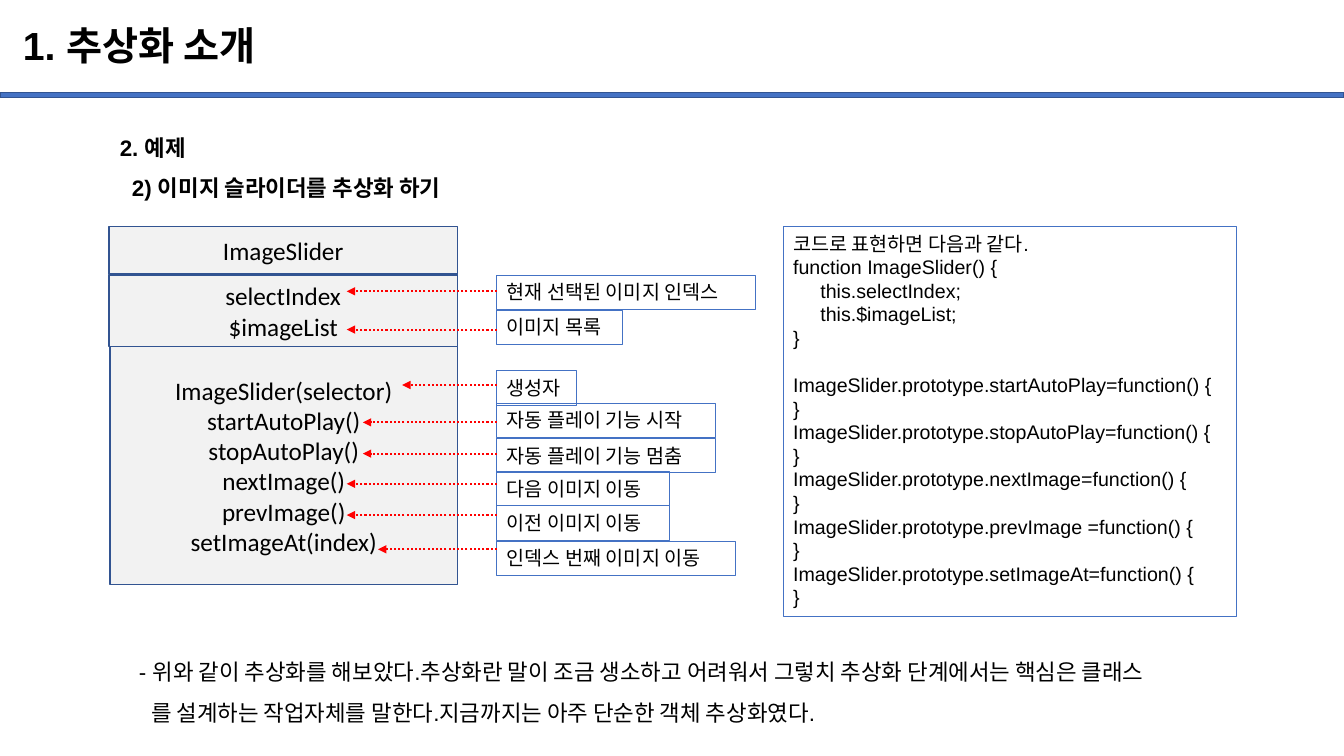
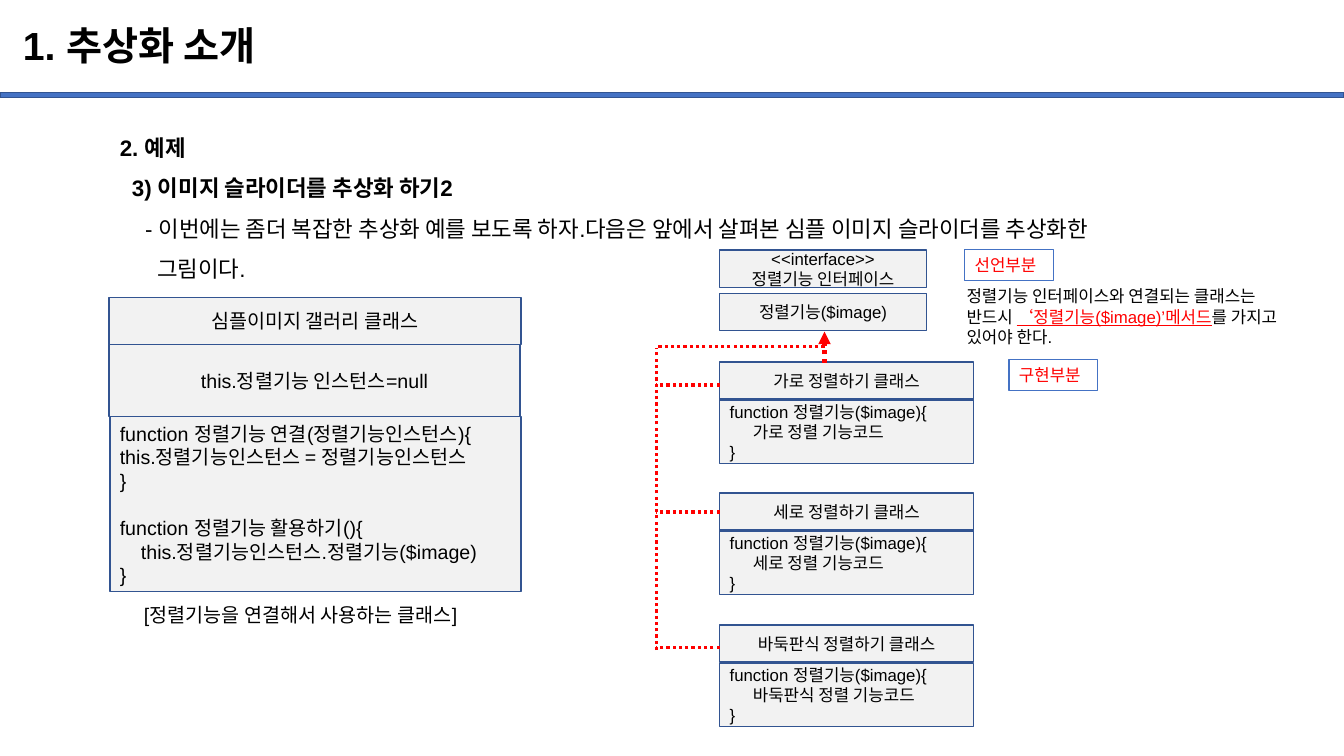
"""Build two lesson slides on abstraction with class diagrams."""
from dataclasses import dataclass

from lxml import etree
from pptx import Presentation
from pptx import util as u
from pptx.dml.color import RGBColor
from pptx.enum import dml, shapes, text
from pptx.oxml.ns import qn


@dataclass(frozen=True)
class Theme:
    ink: str = "000000"
    accent: str = "FF0000"
    blue: str = "4472C4"
    navy: str = "325491"
    panel: str = "F2F2F2"
    sans: str = "Arial"
    diagram: str = "Calibri"
    title: int = 28
    member: int = 18
    body: int = 16
    code: int = 14
    small: int = 12
    blank_line: int = 17


class Deck:
    unit = u.Inches(0.1)
    columns, rows = 133.33, 75

    def __init__(self, theme):
        self.t = theme
        self.prs = Presentation()
        self.prs.slide_width = self.size(self.columns)
        self.prs.slide_height = self.size(self.rows)

    def size(self, cells):
        return u.Emu(round(cells * self.unit))

    def color(self, value):
        return RGBColor.from_string(value)

    def slide(self, title, *headings):
        self.s = self.prs.slides.add_slide(self.prs.slide_layouts[6])
        self.box((0, 9.2, self.columns, 0.5), fill=self.t.blue)
        self.label((1.3, 1, 115, 7.4), [title], self.t.title, bold=True,
                   anchor=text.MSO_ANCHOR.MIDDLE, spacing=0.9)
        self.label((10.9, 11.5, 117.2, 9), headings, self.t.body, bold=True, spacing=1.5)

    def set_text(self, sp, lines, size, font=None, color=None, bold=False, center=False,
                 anchor=text.MSO_ANCHOR.TOP, spacing=None):
        tf = sp.text_frame
        tf.word_wrap = True
        tf.vertical_anchor = anchor
        for i, line in enumerate(lines):
            content, indent, before = (line, 0, 0) if isinstance(line, str) else line
            p = tf.paragraphs[0] if i == 0 else tf.add_paragraph()
            p.alignment = text.PP_ALIGN.CENTER if center else text.PP_ALIGN.LEFT
            p.font.name = font or self.t.sans
            p.font.size = u.Pt(size)
            p.font.bold = bold
            p.font.color.rgb = self.color(color or self.t.ink)
            if spacing:
                p.line_spacing = spacing
            if before:
                p.space_before = u.Pt(before)
            if indent:
                p._p.get_or_add_pPr().set("marL", str(self.size(indent)))
            for n, part in enumerate(content.split("|")):
                r = p.add_run()
                r.text = part
                if n % 2:
                    r.font.underline = True
                    r.font.color.rgb = self.color(self.t.accent)

    def label(self, area, lines, size, **style):
        sp = self.s.shapes.add_textbox(*map(self.size, area))
        self.set_text(sp, lines, size, **style)

    def box(self, area, fill=None, line=None, weight=1):
        sp = self.s.shapes.add_shape(shapes.MSO_SHAPE.RECTANGLE, *map(self.size, area))
        sp.shadow.inherit = False
        if fill:
            sp.fill.solid()
            sp.fill.fore_color.rgb = self.color(fill)
        else:
            sp.fill.background()
        sp.line.color.rgb = self.color(line or self.t.navy)
        sp.line.width = u.Pt(weight)
        return sp

    def panel(self, area, lines, size, **style):
        sp = self.box(area, self.t.panel)
        self.set_text(sp, lines, size, anchor=text.MSO_ANCHOR.MIDDLE, **style)

    def frame(self, area, lines, size, **style):
        sp = self.box(area, line=self.t.blue, weight=0.75)
        self.set_text(sp, lines, size, **style)

    def dots(self, start, end, weight, arrow=False):
        c = self.s.shapes.add_connector(shapes.MSO_CONNECTOR.STRAIGHT,
                                        *map(self.size, (*start, *end)))
        c.line.color.rgb = self.color(self.t.accent)
        c.line.width = u.Pt(weight)
        c.line.dash_style = dml.MSO_LINE.ROUND_DOT
        props = c._element.spPr
        if arrow:
            etree.SubElement(props.find(qn("a:ln")), qn("a:tailEnd"), type="triangle")
        etree.SubElement(props, qn("a:effectLst"))


def slider_slide(deck):
    t = deck.t
    deck.slide("1. 추상화 소개", "2. 예제", ("2) 이미지 슬라이더를 추상화 하기", 1.2, 0))

    members = [
        ((10.8, 22.5, 34.6, 4.7), ["ImageSlider"]),
        ((10.8, 27.3, 34.6, 7.1), ["selectIndex", "$imageList"]),
        ((10.9, 34.4, 34.5, 23.6), ["ImageSlider(selector)", "startAutoPlay()", "stopAutoPlay()",
                                    "nextImage()", "prevImage()", "setImageAt(index)"]),
    ]
    for area, lines in members:
        deck.panel(area, lines, t.member, font=t.diagram, center=True)

    label_left = 49.3
    labels = [
        ("현재 선택된 이미지 인덱스", 27.3, 25.7, 28.9, 34.4),
        ("이미지 목록", 30.8, 12.5, 32.7, 34.4),
        ("생성자", 36.8, 7.9, 38.2, 39.9),
        ("자동 플레이 기능 시작", 40, 21.7, 41.9, 36),
        ("자동 플레이 기능 멈춤", 43.5, 21.7, 45, 36),
        ("다음 이미지 이동", 46.8, 17.1, 48, 34.4),
        ("이전 이미지 이동", 50.2, 17.1, 51.1, 34.4),
        ("인덱스 번째 이미지 이동", 53.7, 23.7, 54.5, 37.5),
    ]
    for name, top, width, arrow_y, tip in labels:
        deck.frame((label_left, top, width, 3.4), [name], t.code)
        deck.dots((label_left, arrow_y), (tip, arrow_y), 1.5, arrow=True)

    code = ["코드로 표현하면 다음과 같다.", "function ImageSlider() {",
            ("this.selectIndex;", 2.7, 0), ("this.$imageList;", 2.7, 0), "}"]
    methods = ["startAutoPlay=", "stopAutoPlay=", "nextImage=", "prevImage =", "setImageAt="]
    for i, method in enumerate(methods):
        gap = 0 if i else t.blank_line
        code += [(f"ImageSlider.prototype.{method}function() {{", 0, gap), "}"]
    deck.frame((77.7, 22.5, 45, 38.7), code, t.code)

    deck.label((10.9, 63.5, 117.2, 9), [
        ("- 위와 같이 추상화를 해보았다.추상화란 말이 조금 생소하고 어려워서 그렇치 추상화 단계에서는 핵심은 클래스", 1.9, 0),
        ("를 설계하는 작업자체를 말한다.지금까지는 아주 단순한 객체 추상화였다.", 3.1, 0),
    ], t.body, spacing=1.5)


def gallery_slide(deck):
    t = deck.t
    deck.slide("1. 추상화 소개", "2. 예제", ("3) 이미지 슬라이더를 추상화 하기2", 1.2, 0))
    deck.label((10.9, 19.5, 117.2, 9), [
        ("- 이번에는 좀더 복잡한 추상화 예를 보도록 하자.다음은 앞에서 살펴본 심플 이미지 슬라이더를 추상화한", 2.5, 0),
        ("그림이다.", 3.7, 0),
    ], t.body, spacing=1.5)

    deck.panel((10.8, 29.5, 40.9, 4.7), ["심플이미지 갤러리 클래스"], t.code,
               font=t.diagram, center=True)
    deck.panel((10.8, 34.2, 40.8, 7.1), ["this.정렬기능 인스턴스=null"], t.code, center=True)
    deck.panel((10.9, 41.3, 40.8, 17.4), [
        "function 정렬기능 연결(정렬기능인스턴스){",
        "this.정렬기능인스턴스 = 정렬기능인스턴스",
        "}",
        ("function 정렬기능 활용하기(){", 0, t.blank_line),
        ("this.정렬기능인스턴스.정렬기능($image)", 2.1, 0),
        "}",
    ], t.code)
    deck.label((13.3, 59.3, 36.7, 3.4), ["[정렬기능을 연결해서 사용하는 클래스]"], t.code)

    left, trunk, arrow_x = 71.4, 65.1, 81.8
    deck.panel((left, 24.8, 20.5, 3.7), ["<<interface>>", "정렬기능 인터페이스"],
               t.small, center=True)
    deck.panel((left, 29.1, 20.5, 3.7), ["정렬기능($image)"], t.small, center=True)

    layouts = [("가로", 35.9, 38.2), ("세로", 48.9, 50.8), ("바둑판식", 62, 64.2)]
    for name, top, branch in layouts:
        deck.panel((left, top, 25.2, 3.7), [f"{name} 정렬하기 클래스"], t.small, center=True)
        deck.panel((left, top + 3.8, 25.2, 6.3), [
            "function 정렬기능($image){", (f"{name} 정렬 기능코드", 2.3, 0), "}"], t.small)
        deck.dots((left, branch), (trunk, branch), 2.25)
    deck.dots((arrow_x, 36), (arrow_x, 32.9), 3, arrow=True)
    deck.dots((arrow_x, 34.4), (trunk, 34.4), 2.25)
    deck.dots((trunk, 64.5), (trunk, 34.5), 2.25)

    for name, x, y in [("선언부분", 95.7, 24.8), ("구현부분", 100.1, 35.7)]:
        deck.frame((x, y, 8.8, 3), [name], t.small, color=t.accent)
    deck.label((94.9, 27.9, 34.2, 7.1), [
        "정렬기능 인터페이스와 연결되는 클래스는",
        "반드시 |‘정렬기능($image)’메서드|를 가지고",
        "있어야 한다.",
    ], t.small)


deck = Deck(Theme())
slider_slide(deck)
gallery_slide(deck)
deck.prs.save("out.pptx")
